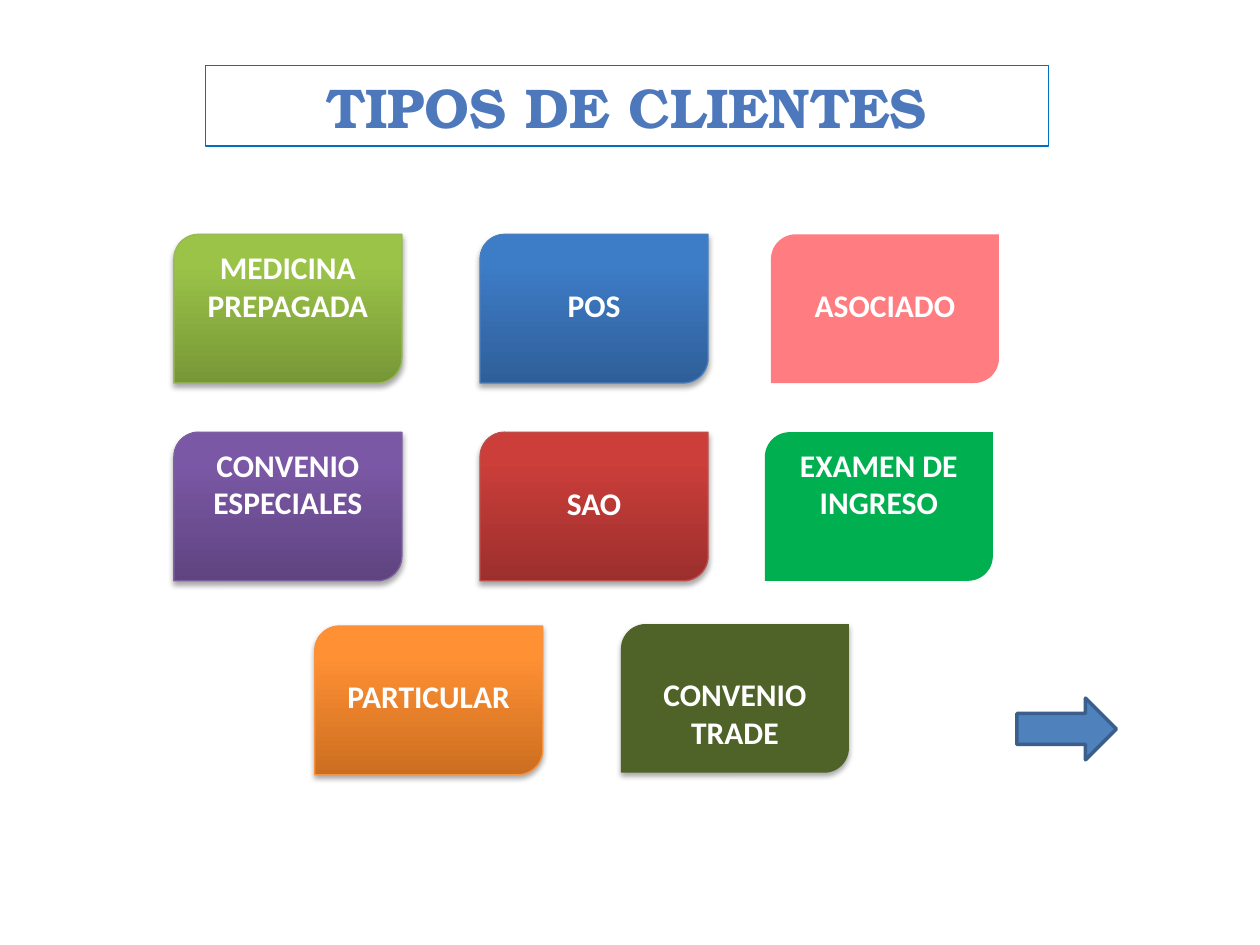
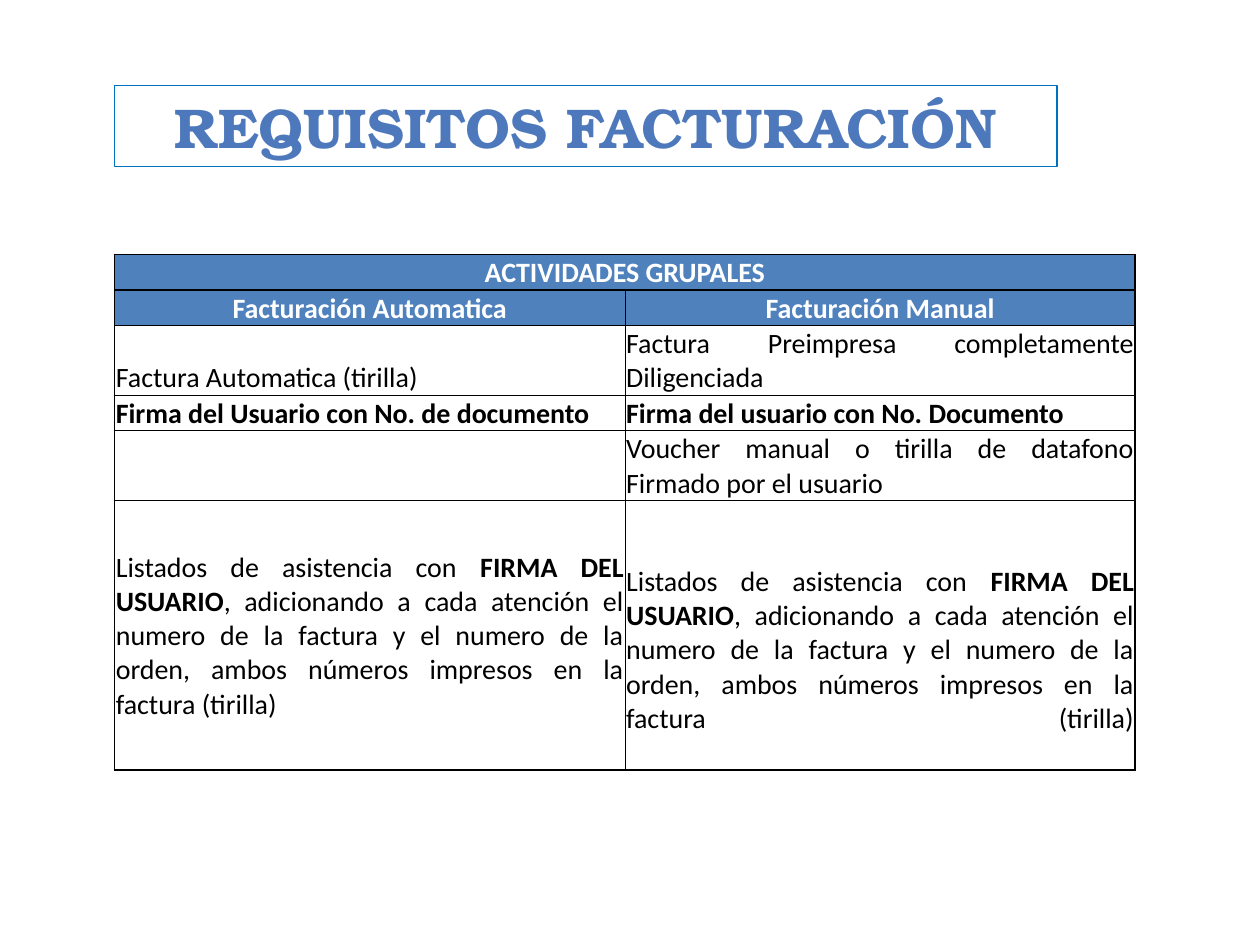
from lxml.etree import SubElement
from pptx import Presentation
from pptx.dml.color import RGBColor
from pptx.enum.shapes import MSO_SHAPE as Shape
from pptx.enum.text import MSO_ANCHOR as Anchor, MSO_AUTO_SIZE as AutoSize, PP_ALIGN as Align
from pptx.oxml import parse_xml
from pptx.oxml.ns import qn
from pptx.util import Inches, Pt

# Shared formats
TITLE_FONT = dict(name="TeX Gyre Bonum", size=Pt(32), bold=True)
TILE_FONT = dict(name="Calibri", size=Pt(18), bold=True)
TABLE_FONT = dict(name="Calibri", size=Pt(16))
TITLE_COLOR, BORDER_COLOR = "4D79BC", "0070C0"
BLUE, WHITE, BLACK = "4F81BD", "FFFFFF", "000000"
SHADOW = (
    '<a:effectLst xmlns:a="http://schemas.openxmlformats.org/drawingml/2006/main">'
    '<a:outerShdw blurRad="40000" dist="23000" dir="5400000" rotWithShape="0">'
    '<a:srgbClr val="000000"><a:alpha val="35000"/></a:srgbClr>'
    '</a:outerShdw></a:effectLst>'
)


def color(hex_string):
    return RGBColor.from_string(hex_string)


def set_font(font, formats, hex_string):
    for name, value in formats.items():
        setattr(font, name, value)
    font.color.rgb = color(hex_string)


presentation = Presentation()
presentation.slide_width, presentation.slide_height = Inches(10), Inches(7.5)

# Slides with their framed titles: text, left, top, width
titles = [
    ("TIPOS DE CLIENTES", 1.63, 0.52, 6.69),
    ("REQUISITOS FACTURACIÓN", 0.91, 0.68, 7.48),
]
slides = []
for text, left, top, width in titles:
    slide = presentation.slides.add_slide(presentation.slide_layouts[5])
    title = slide.shapes.title
    title.left, title.top, title.width, title.height = map(Inches, (left, top, width, 0.64))
    title.line.color.rgb = color(BORDER_COLOR)
    title.line.width = Pt(0.75)
    frame = title.text_frame
    frame.text = text
    frame.auto_size = AutoSize.NONE
    frame.vertical_anchor = Anchor.MIDDLE
    paragraph = frame.paragraphs[0]
    paragraph.alignment = Align.CENTER
    set_font(paragraph.runs[0].font, TITLE_FONT, TITLE_COLOR)
    slides.append(slide)
clients_slide, billing_slide = slides

# Client tiles: text, column, row, first text line, fill (bottom, top), outline, shadow
GRID_LEFT, GRID_TOP = 1.38, 1.86
COLUMN, ROW = 2.43, 1.57
TILE_WIDTH, TILE_HEIGHT, TEXT_LINE = 1.81, 1.18, 0.3
tiles = [
    ("MEDICINA PREPAGADA", 0, 0, 0, ("779737", "9BC348"), "98B955", True),
    ("CONVENIO ESPECIALES", 0, 1, 0, ("5F4480", "7B58A6"), "7D60A0", True),
    ("POS", 1, 0, 1, ("2F5F99", "3D7CC7"), "4B7EBC", True),
    ("SAO", 1, 1, 1, ("9C2F2D", "CB3E3A"), "BF4C48", True),
    ("PARTICULAR", 0.46, 1.98, 1, ("CC6E20", "FF9034"), "F69240", True),
    ("EXAMEN DE INGRESO", 1.93, 1, 0, ("00B050",), None, False),
    ("ASOCIADO", 1.95, 0, 1, ("FF7C80",), None, False),
    ("CONVENIO TRADE", 1.46, 1.97, 1, ("4F6228",), None, True),
]
for text, column, row, first_line, fills, outline, shadowed in tiles:
    tile = clients_slide.shapes.add_shape(
        Shape.ROUND_2_DIAG_RECTANGLE,
        Inches(GRID_LEFT + column * COLUMN), Inches(GRID_TOP + row * ROW),
        Inches(TILE_WIDTH), Inches(TILE_HEIGHT))
    if len(fills) == 2:
        tile.fill.gradient()
        tile.fill.gradient_angle = 90
        for stop, position, fill in zip(tile.fill.gradient_stops, (0, 0.8), fills):
            stop.position = position
            stop.color.rgb = color(fill)
    else:
        tile.fill.solid()
        tile.fill.fore_color.rgb = color(fills[0])
    if outline:
        tile.line.color.rgb = color(outline)
        tile.line.width = Pt(0.75)
    else:
        tile.line.fill.background()
    if shadowed:
        tile._element.spPr.append(parse_xml(SHADOW))
    else:
        tile.shadow.inherit = False
    frame = tile.text_frame
    frame.text = text
    frame.word_wrap = True
    frame.vertical_anchor = Anchor.TOP
    frame.margin_top = Inches(0.05 + first_line * TEXT_LINE)
    paragraph = frame.paragraphs[0]
    paragraph.alignment = Align.CENTER
    set_font(paragraph.runs[0].font, TILE_FONT, WHITE)

# Arrow to the next slide
arrow = clients_slide.shapes.add_shape(
    Shape.RIGHT_ARROW, Inches(8.07), Inches(5.54), Inches(0.79), Inches(0.49))
arrow.shadow.inherit = False
arrow.fill.solid()
arrow.fill.fore_color.rgb = color(BLUE)
arrow.line.color.rgb = color("3A5F8C")
arrow.line.width = Pt(2)

# Billing table: ** marks bold text, \v a line break
HEADER_ROWS = 2
attendance = ("Listados de asistencia con **FIRMA DEL USUARIO**, adicionando a cada atención "
              "el numero de la factura y el numero de la orden, ambos números impresos "
              "en la factura (tirilla)")
requirements = [
    ("**ACTIVIDADES GRUPALES**", ""),
    ("**Facturación Automatica**", "**Facturación Manual**"),
    ("Factura Automatica (tirilla)", "Factura Preimpresa completamente Diligenciada"),
    ("**Firma del Usuario con No. de documento**", "**Firma del usuario con No. Documento**"),
    ("", "Voucher manual o tirilla de datafono Firmado por el usuario"),
    (attendance, attendance + "\v"),
]
row_heights = [0.28, 0.28, 0.54, 0.28, 0.55, 2.14]
last_row = len(requirements) - 1
table = billing_slide.shapes.add_table(
    len(requirements), 2, Inches(0.91), Inches(2.02),
    Inches(8.1), Inches(sum(row_heights))).table
table.first_row = table.horz_banding = False
table.cell(0, 0).merge(table.cell(0, 1))

for row, (texts, height) in enumerate(zip(requirements, row_heights)):
    table.rows[row].height = Inches(height)
    header = row < HEADER_ROWS
    for column, text in enumerate(texts):
        cell = table.cell(row, column)
        cell.margin_left = cell.margin_right = cell.margin_top = Inches(0.01)
        cell.margin_bottom = 0
        middle = row == 0 or (row == last_row and column == 0)
        cell.vertical_anchor = Anchor.MIDDLE if middle else Anchor.BOTTOM

        # Borders: thick around the table and the heading, thin inside
        thick = {"a:lnL": column == 0, "a:lnR": column == 1 or row == 0,
                 "a:lnT": row < HEADER_ROWS, "a:lnB": row in (0, last_row)}
        properties = cell._tc.get_or_add_tcPr()
        for side, is_thick in thick.items():
            border = SubElement(properties, qn(side), w=str(Pt(1 if is_thick else 0.5)))
            SubElement(SubElement(border, qn("a:solidFill")), qn("a:srgbClr"), val=BLACK)
        if header:
            cell.fill.solid()
            cell.fill.fore_color.rgb = color(BLUE)
        else:
            cell.fill.background()

        # Text
        paragraph = cell.text_frame.paragraphs[0]
        paragraph.alignment = Align.CENTER if header else Align.JUSTIFY
        set_font(paragraph.font, TABLE_FONT, WHITE if header else BLACK)
        for index, part in enumerate(text.rstrip("\v").split("**")):
            if part:
                run = paragraph.add_run()
                run.text = part
                set_font(run.font, TABLE_FONT | {"bold": index % 2 == 1},
                         WHITE if header else BLACK)
        if text.endswith("\v"):
            paragraph.add_line_break()

presentation.save("out.pptx")
